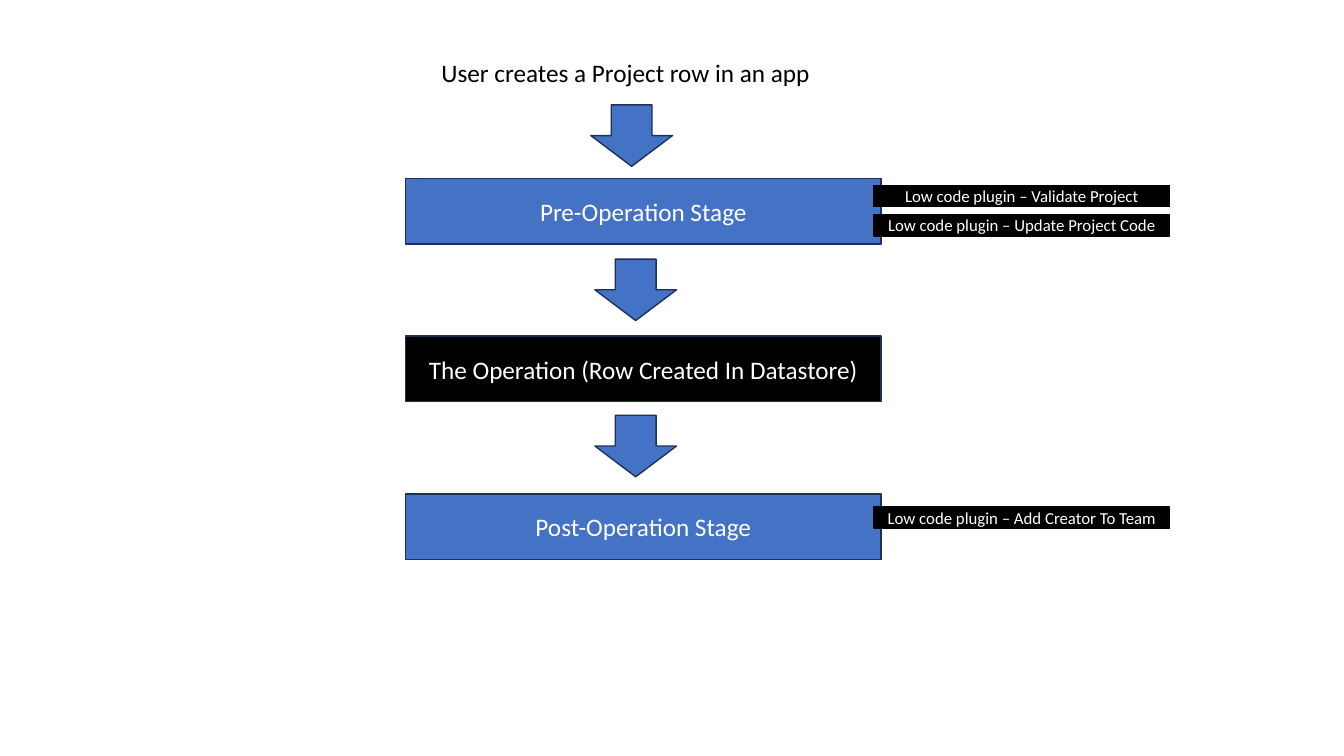
from pptx import Presentation
from pptx.dml.color import RGBColor
from pptx.enum.shapes import MSO_SHAPE
from pptx.enum.text import MSO_ANCHOR, MSO_AUTO_SIZE, PP_ALIGN
from pptx.util import Inches, Pt

RECT = MSO_SHAPE.RECTANGLE
DOWN = MSO_SHAPE.DOWN_ARROW
MIDDLE = MSO_ANCHOR.MIDDLE
CENTER = PP_ALIGN.CENTER
LEFT = PP_ALIGN.LEFT
FIT = MSO_AUTO_SIZE.SHAPE_TO_FIT_TEXT

BLUE, NAVY, BLACK, WHITE = "4472C4", "1E3256", "000000", "FFFFFF"

STAGES = [
    ("Pre-Operation Stage", BLUE),
    ("The Operation (Row Created In Datastore)", BLACK),
    ("Post-Operation Stage", BLUE),
]
STAGE_TOP, STAGE_STEP = 1.77, 1.565
ARROWS = [(5.86, 1.04), (5.9, 2.57), (5.9, 4.12)]
PLUGINS = [
    ("Validate Project", 1.84),
    ("Update Project Code", 2.13),
    ("Add Creator To Team", 5.03),
]


def color(code):
    return RGBColor.from_string(code)


def write(frame, text, size=18, ink=WHITE, align=CENTER):
    para = frame.paragraphs[0]
    para.alignment = align
    run = para.add_run()
    run.text = text
    run.font.name = "Calibri"
    run.font.size = Pt(size)
    run.font.color.rgb = color(ink)


def draw(slide, kind, box, fill, line):
    shape = slide.shapes.add_shape(kind, *map(Inches, box))
    shape.shadow.inherit = False
    shape.fill.solid()
    shape.fill.fore_color.rgb = color(fill)
    shape.line.color.rgb = color(line)
    shape.line.width = Pt(1)
    return shape


def label(slide, text, box, fill, line, size=18):
    frame = draw(slide, RECT, box, fill, line).text_frame
    frame.vertical_anchor = MIDDLE
    write(frame, text, size=size)


def caption(slide, text, box):
    frame = slide.shapes.add_textbox(*map(Inches, box)).text_frame
    frame.word_wrap = False
    frame.auto_size = FIT
    write(frame, text, ink=BLACK, align=LEFT)


def main():
    deck = Presentation()
    deck.slide_width = Inches(13.33)
    deck.slide_height = Inches(7.5)
    slide = deck.slides.add_slide(deck.slide_layouts[6])

    caption(slide, "User creates a Project row in an app", (4.28, 0.52, 3.9, 0.4))
    for row, (text, fill) in enumerate(STAGES):
        top = STAGE_TOP + row * STAGE_STEP
        label(slide, text, (4.02, top, 4.72, 0.65), fill, NAVY)
    for left, top in ARROWS:
        draw(slide, DOWN, (left, top, 0.81, 0.61), BLUE, NAVY)
    for name, top in PLUGINS:
        text = f"Low code plugin – {name}"
        label(slide, text, (8.67, top, 2.93, 0.21), BLACK, BLACK, size=12)

    deck.save("out.pptx")


if __name__ == "__main__":
    main()
